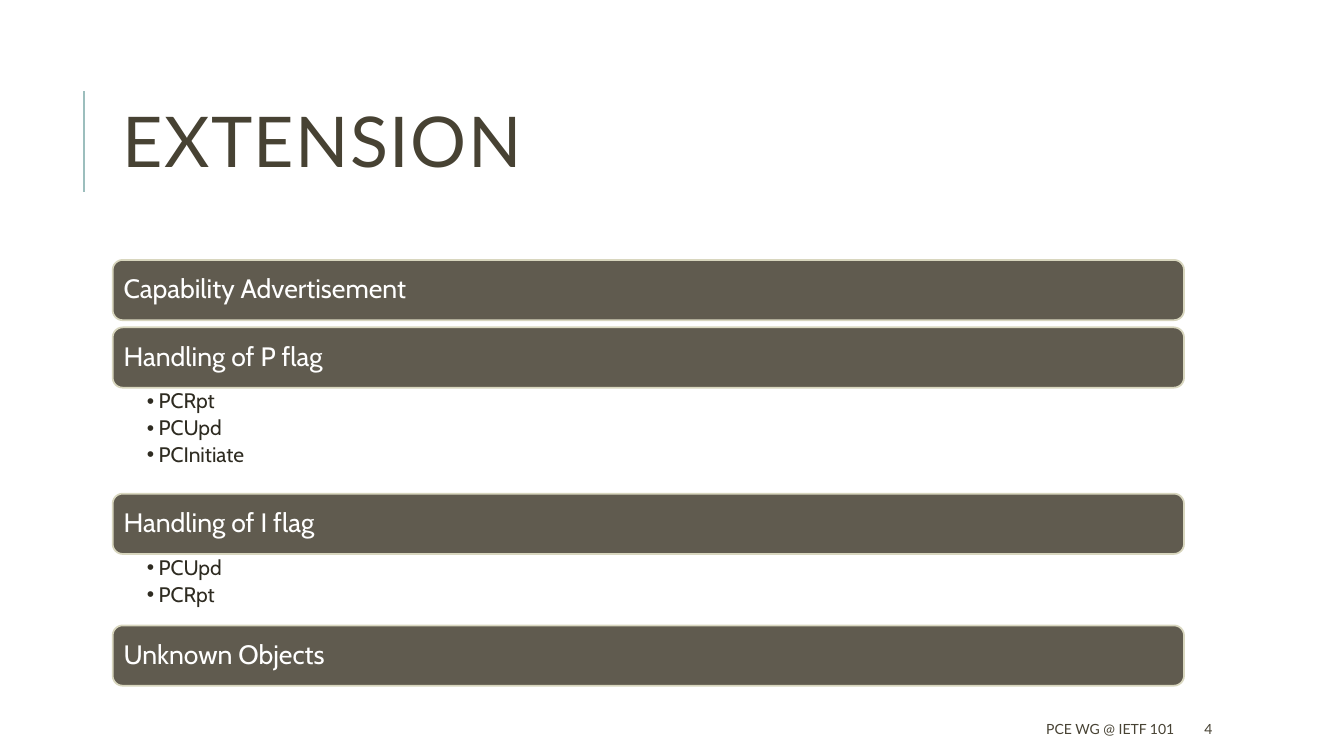
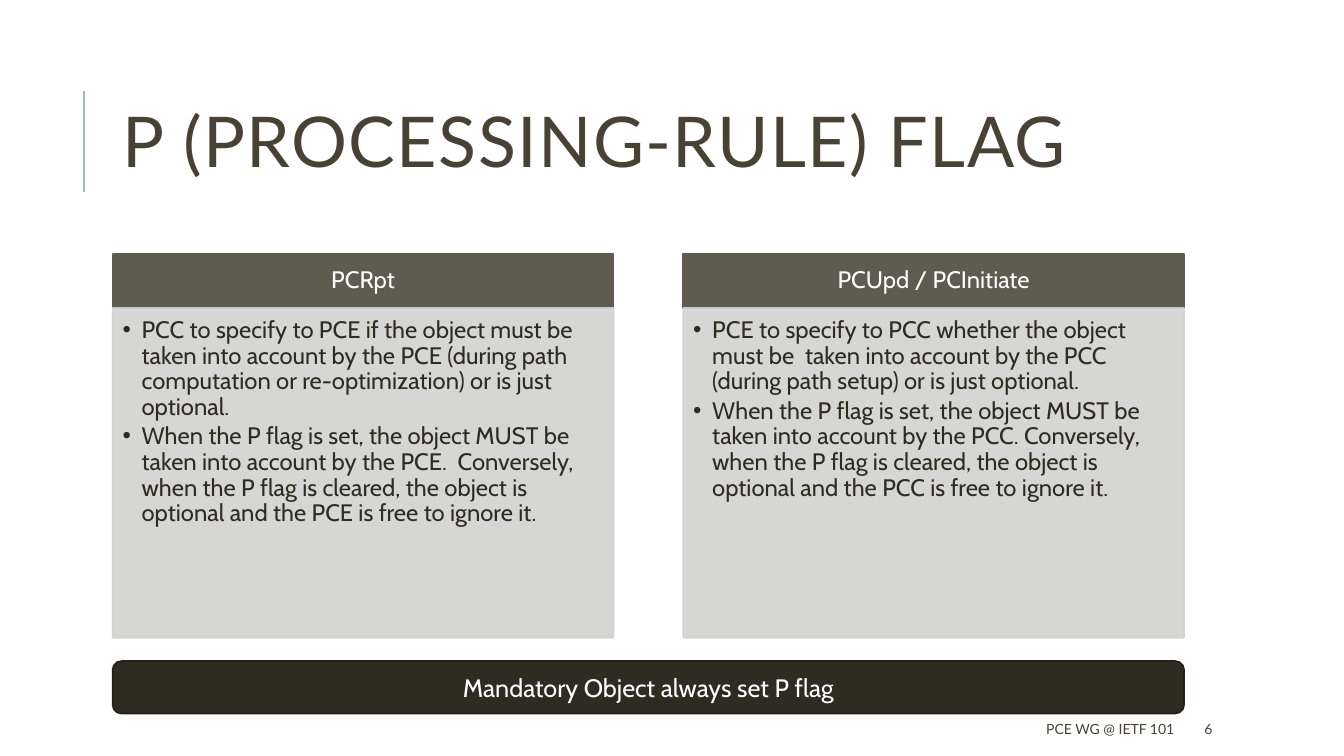
from lxml.etree import SubElement
from pptx import Presentation
from pptx.dml.color import RGBColor
from pptx.enum.shapes import MSO_CONNECTOR, MSO_SHAPE
from pptx.enum.text import MSO_ANCHOR, PP_ALIGN
from pptx.oxml.ns import qn
from pptx.util import Cm, Pt

# Content
FOOTER = "PCE WG @ IETF 101"

EXTENSION = {
    "title": "EXTENSION",
    "number": "4",
    "topics": [
        ("Capability Advertisement", []),
        ("Handling of P flag", ["PCRpt", "PCUpd", "PCInitiate"]),
        ("Handling of I flag", ["PCUpd", "PCRpt"]),
        ("Unknown Objects", []),
    ],
}

P_FLAG = {
    "title": "P (PROCESSING-RULE) FLAG",
    "number": "6",
    "messages": [
        ("PCRpt", [
            "PCC to specify to PCE if the object must be taken into account by the PCE "
            "(during path computation or re-optimization) or is just optional.",
            "When the P flag is set, the object MUST be taken into account by the PCE.  "
            "Conversely, when the P flag is cleared, the object is optional and the PCE "
            "is free to ignore it.",
        ]),
        ("PCUpd / PCInitiate", [
            "PCE to specify to PCC whether the object must be  taken into account by the "
            "PCC (during path setup) or is just optional.",
            "When the P flag is set, the object MUST be taken into account by the PCC. "
            "Conversely, when the P flag is cleared, the object is optional and the PCC "
            "is free to ignore it.",
        ]),
    ],
    "conclusion": "Mandatory Object always set P flag",
}

# Colours
WHITE = RGBColor(0xFF, 0xFF, 0xFF)
TITLE_BROWN = RGBColor(0x47, 0x42, 0x33)
RULE_TEAL = RGBColor(0x9C, 0xBE, 0xBD)
BAND_BROWN = RGBColor(0x60, 0x5B, 0x4F)
BAND_EDGE = RGBColor(0xD8, 0xD6, 0xBE)
PANEL_GREY = RGBColor(0xD2, 0xD2, 0xD0)
INK = RGBColor(0x2E, 0x2B, 0x21)
INK_EDGE = RGBColor(0x22, 0x20, 0x18)

# Shared measures, in centimetres
LEFT, WIDTH = 2.84, 27.0
PANEL_OPACITY = 90

# Text styles: font, colour, paragraph and frame (insets: left, top, right, bottom)
DEFAULT_INSETS = (0.25, 0.13, 0.25, 0.13)
TITLE = {"font": {"name": "Lato", "size": Pt(50)}, "color": TITLE_BROWN,
         "paragraph": {"line_spacing": 0.8}, "tracking": 100}
SMALL = {"font": {"name": "Lato", "size": Pt(10)}, "color": TITLE_BROWN}
SMALL_RIGHT = {**SMALL, "paragraph": {"alignment": PP_ALIGN.RIGHT}}
TOPIC = {"font": {"name": "Cabin", "size": Pt(19)}, "color": WHITE,
         "paragraph": {"alignment": PP_ALIGN.LEFT, "line_spacing": 0.9},
         "insets": (0.2, 0.2, 0.2, 0.2)}
TOPIC_ITEM = {"font": {"name": "Cabin", "size": Pt(15)}, "color": INK,
              "paragraph": {"line_spacing": 0.9, "space_after": Pt(3)},
              "insets": (0.86, 0.08, 0.38, 0.08), "anchor": MSO_ANCHOR.TOP,
              "hanging": 0.3}
HEADING = {"font": {"name": "Cabin", "size": Pt(17)}, "color": WHITE,
           "paragraph": {"alignment": PP_ALIGN.CENTER, "line_spacing": 0.9},
           "insets": (0.33, 0.2, 0.33, 0.2)}
DETAIL = {"font": {"name": "Cabin", "size": Pt(17)}, "color": INK,
          "paragraph": {"alignment": PP_ALIGN.LEFT, "line_spacing": 0.9,
                        "space_after": Pt(2.55)},
          "insets": (0.25, 0.25, 0.33, 0.38), "anchor": MSO_ANCHOR.TOP,
          "hanging": 0.48}
CONCLUSION = {"font": {"name": "Cabin", "size": Pt(18)}, "color": WHITE,
              "paragraph": {"alignment": PP_ALIGN.CENTER}}


def set_all(target, values):
    """Set each named attribute of target."""
    for name, value in values.items():
        setattr(target, name, value)


def add_bullet(paragraph, hanging):
    """Give the paragraph a bullet and a hanging indent in centimetres."""
    properties = paragraph._p.get_or_add_pPr()
    properties.set("marL", str(Cm(hanging)))
    properties.set("indent", str(-Cm(hanging)))
    SubElement(properties, qn("a:buFont")).set("typeface", "Arial")
    SubElement(properties, qn("a:buChar")).set("char", "•")


def write(holder, lines, style):
    """Fill a shape or text box with one paragraph per line."""
    frame = holder.text_frame
    sides = ("margin_left", "margin_top", "margin_right", "margin_bottom")
    insets = map(Cm, style.get("insets", DEFAULT_INSETS))
    set_all(frame, {"word_wrap": True,
                    "vertical_anchor": style.get("anchor", MSO_ANCHOR.MIDDLE),
                    **dict(zip(sides, insets))})
    for index, line in enumerate(lines):
        paragraph = frame.add_paragraph() if index else frame.paragraphs[0]
        set_all(paragraph, style.get("paragraph", {}))
        if "hanging" in style:
            add_bullet(paragraph, style["hanging"])
        run = paragraph.add_run()
        run.text = line
        set_all(run.font, style["font"])
        run.font.color.rgb = style["color"]
        if "tracking" in style:
            run._r.get_or_add_rPr().set("spc", str(style["tracking"]))


def add_text(slide, box, lines, style):
    """Add a text box; box is left, top, width, height in centimetres."""
    write(slide.shapes.add_textbox(*map(Cm, box)), lines, style)


def add_block(slide, kind, box, fill, edge, lines, style, opacity=100):
    """Add a filled, outlined shape that holds text."""
    block = slide.shapes.add_shape(kind, *map(Cm, box))
    block.shadow.inherit = False
    block.fill.solid()
    block.fill.fore_color.rgb = fill
    block.line.color.rgb = edge
    block.line.width = Pt(1.25)
    if opacity < 100:
        for color in block._element.spPr.iter(qn("a:srgbClr")):
            SubElement(color, qn("a:alpha")).set("val", str(opacity * 1000))
    write(block, lines, style)


def add_base(deck, content):
    """Add a slide with the title, its rule, the footer and the number."""
    slide = deck.slides.add_slide(deck.slide_layouts[6])
    rule = slide.shapes.add_connector(
        MSO_CONNECTOR.STRAIGHT, Cm(2.12), Cm(4.83), Cm(2.12), Cm(2.3))
    rule.line.color.rgb = RULE_TEAL
    rule.line.width = Pt(1.5)
    SubElement(rule._element.spPr, qn("a:effectLst"))
    add_text(slide, (LEFT, 1.63, WIDTH, 4.17), [content["title"]], TITLE)
    add_text(slide, (13.46, 17.98, 16.38, 0.76), [FOOTER], SMALL_RIGHT)
    add_text(slide, (30.1, 17.98, 2.69, 0.76), [content["number"]], SMALL)
    return slide


def build_extension(deck, content):
    """Stack the topic bands, each followed by its list or a small gap."""
    slide = add_base(deck, content)
    top, band_height, gap = 6.55, 1.52, 0.18
    for topic, items in content["topics"]:
        add_block(slide, MSO_SHAPE.ROUNDED_RECTANGLE, (LEFT, top, WIDTH, band_height),
                  BAND_BROWN, BAND_EDGE, [topic], TOPIC)
        top += band_height
        list_height = 0.06 + 0.87 * len(items) if items else gap
        if items:
            add_text(slide, (LEFT, top, WIDTH, list_height), items, TOPIC_ITEM)
        top += list_height


def build_p_flag(deck, content):
    """Set the messages side by side above the conclusion."""
    slide = add_base(deck, content)
    messages = content["messages"]
    top, heading_height, detail_height, gap = 6.4, 1.36, 8.31, 1.76
    column = (WIDTH - gap * (len(messages) - 1)) / len(messages)
    for index, (heading, details) in enumerate(messages):
        left = LEFT + index * (column + gap)
        add_block(slide, MSO_SHAPE.RECTANGLE, (left, top, column, heading_height),
                  BAND_BROWN, BAND_BROWN, [heading], HEADING)
        add_block(slide, MSO_SHAPE.RECTANGLE,
                  (left, top + heading_height, column, detail_height),
                  PANEL_GREY, PANEL_GREY, details, DETAIL, PANEL_OPACITY)
    add_block(slide, MSO_SHAPE.ROUNDED_RECTANGLE, (LEFT, 16.66, WIDTH, 1.32),
              INK, INK_EDGE, [content["conclusion"]], CONCLUSION)


deck = Presentation()
deck.slide_width, deck.slide_height = Cm(33.87), Cm(19.05)
build_extension(deck, EXTENSION)
build_p_flag(deck, P_FLAG)
deck.save("out.pptx")
